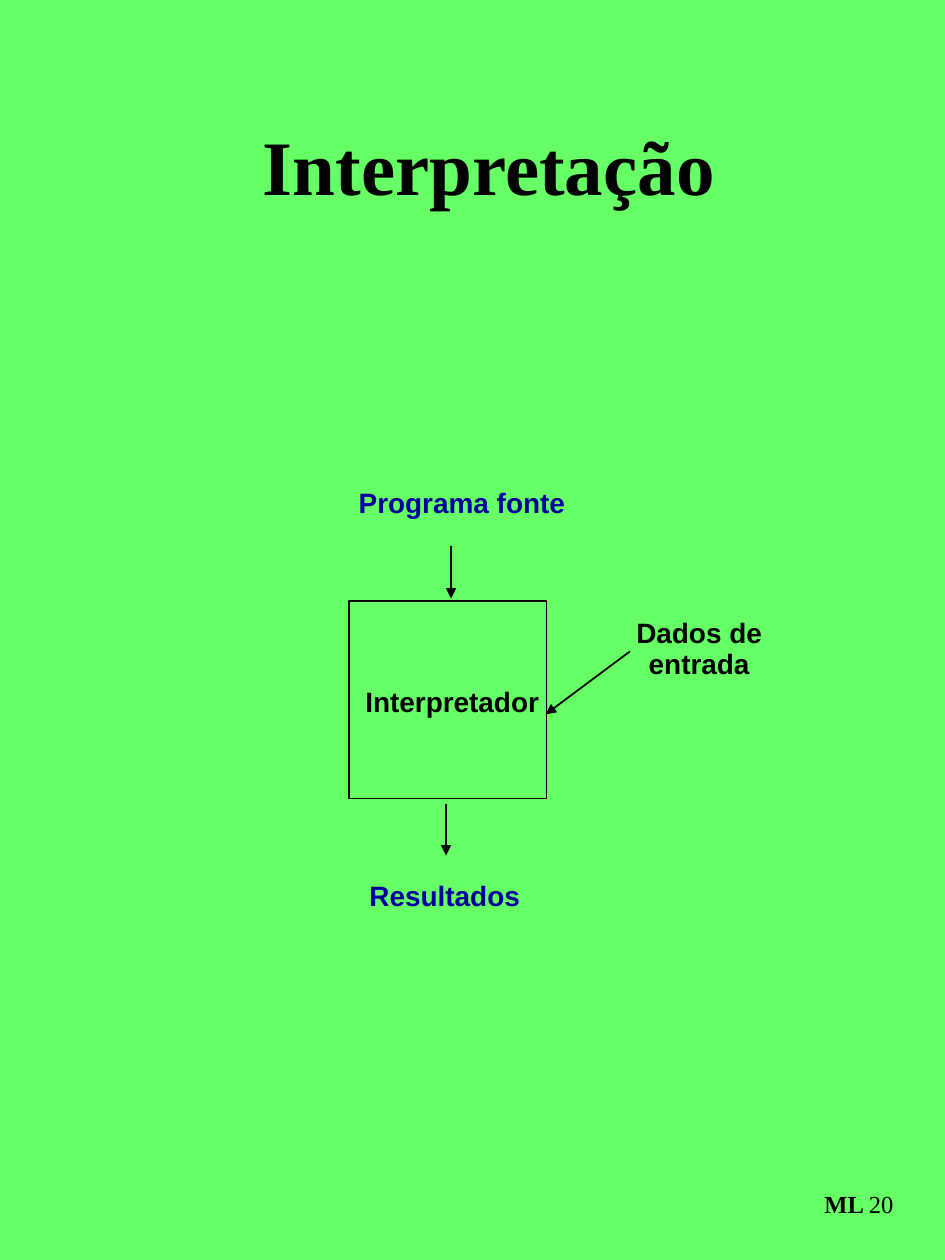
from lxml import etree
from pptx import Presentation
from pptx.dml.color import RGBColor as RGB
from pptx.enum.shapes import MSO_CONNECTOR as CONN, MSO_SHAPE as SHAPE
from pptx.enum.text import MSO_ANCHOR as ANCHOR, PP_ALIGN as ALIGN
from pptx.oxml.ns import qn
from pptx.util import Pt

GREEN = RGB(0x66, 0xFF, 0x66)
BLACK = RGB(0, 0, 0)
NAVY = RGB(0, 0, 0x99)
SERIF = {"name": "Times New Roman", "size": Pt(14), "bold": True}
TITLE = {**SERIF, "size": Pt(44)}
LABEL = {"name": "Arial", "size": Pt(16), "bold": True}


def add_text(slide, box, runs, color=BLACK, align=ALIGN.CENTER,
             pad=(0, 0), anchor=ANCHOR.TOP, wrap=True, space=None):
    """Place one paragraph; runs are (text, font format) pairs."""
    frame = slide.shapes.add_textbox(*map(Pt, box)).text_frame
    side, edge = map(Pt, pad)
    look = {"margin_left": side, "margin_right": side, "margin_top": edge,
            "margin_bottom": edge, "vertical_anchor": anchor, "word_wrap": wrap}
    for key, val in look.items():
        setattr(frame, key, val)
    para = frame.paragraphs[0]
    para.alignment, para.line_spacing = align, space
    for text, style in runs:
        run = para.add_run()
        run.text = text
        for key, val in style.items():
            setattr(run.font, key, val)
        run.font.color.rgb = color


def add_arrow(slide, start, end):
    arrow = slide.shapes.add_connector(CONN.STRAIGHT, *map(Pt, start + end))
    arrow.line.color.rgb = BLACK
    arrow.line.width = Pt(1)
    etree.SubElement(arrow.line._get_or_add_ln(), qn("a:tailEnd"), type="triangle")
    etree.SubElement(arrow._element.spPr, qn("a:effectLst"))


def add_footer(slide, box):
    add_text(slide, box, [("ML ", SERIF), ("20", {**SERIF, "bold": False})],
             align=ALIGN.RIGHT, pad=(7.2, 3.6), anchor=ANCHOR.MIDDLE, wrap=False)


def add_title(slide, box):
    add_text(slide, box, [("Interpretação", TITLE)],
             pad=(7.2, 3.6), anchor=ANCHOR.MIDDLE)


def add_flow(slide, box):
    left, top, side = box

    def at(x, y):
        return left + x, top + y

    # Interpreter square
    square = slide.shapes.add_shape(
        SHAPE.RECTANGLE, *map(Pt, at(1.4, 64.4) + (side, side)))
    square.shadow.inherit = False
    square.fill.background()
    square.line.color.rgb = BLACK
    square.line.width = Pt(1)

    # Labels: text, place, size, colour, alignment
    labels = [
        ("Programa fonte", (7, 0.4), (119, 15), NAVY, ALIGN.LEFT),
        ("Interpretador", (4.3, 114.1), (112.3, 17.3), BLACK, ALIGN.CENTER),
        ("Resultados", (0, 225), (112.3, 17.3), NAVY, ALIGN.CENTER),
        ("Dados de entrada", (145.4, 75.2), (112.3, 34.6), BLACK, ALIGN.CENTER),
    ]
    for text, place, size, color, align in labels:
        add_text(slide, at(*place) + size, [(text, LABEL)], color, align, space=0.9)

    # Source in, results out, input data in
    for start, end in [((59.8, 32.8), (59.8, 63)),
                       ((56.9, 180.4), (56.9, 209.9)),
                       ((162, 93.2), (113.8, 129.2))]:
        add_arrow(slide, at(*start), at(*end))


def main():
    deck = Presentation()
    deck.slide_width, deck.slide_height = Pt(540), Pt(720)
    slide = deck.slides.add_slide(deck.slide_layouts[6])
    slide.background.fill.solid()
    slide.background.fill.fore_color.rgb = GREEN
    add_footer(slide, (462.2, 663.8, 55.4, 48.2))
    add_title(slide, (49.7, 36, 459.4, 115.9))
    add_flow(slide, (198, 279, 113))
    deck.save("out.pptx")


if __name__ == "__main__":
    main()
